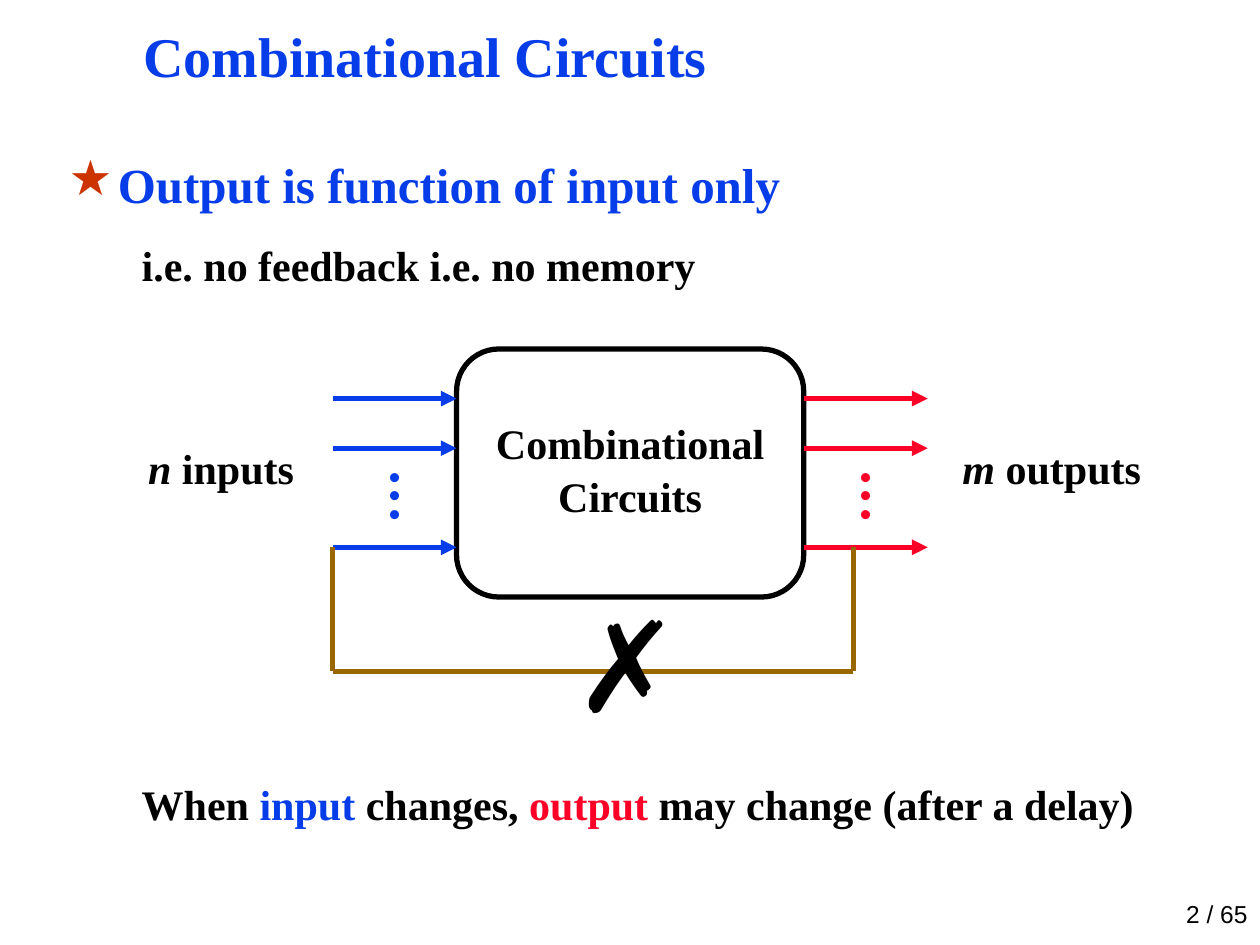
"""Build the slide on combinational circuits: output depends on input only."""
from lxml.etree import SubElement
from pptx import Presentation
from pptx.dml.color import RGBColor
from pptx.enum.shapes import MSO_CONNECTOR, MSO_SHAPE
from pptx.enum.text import MSO_ANCHOR, PP_ALIGN
from pptx.oxml.ns import qn
from pptx.util import Inches, Pt

COLORS = {"blue": "063DE8", "red": "FC0128", "black": "000000",
          "brown": "996600", "star": "CC3300"}
CELL = Inches(9.84) / 50
LEFT, TOP = Inches(2.64), Inches(2.77)
SERIF = {"name": "Times New Roman", "bold": True}
HEADING = {**SERIF, "size": Pt(32)}
POINT = {**SERIF, "size": Pt(28)}
BODY = {**SERIF, "size": Pt(24)}
DOT = {"name": "Arial", "bold": True, "size": Pt(18)}
CROSS = {**DOT, "size": Pt(72)}
NUMBER = {"name": "Arial", "size": Pt(14)}
CENTER = {"alignment": PP_ALIGN.CENTER, "line_spacing": 0.9}

presentation = Presentation()
presentation.slide_width, presentation.slide_height = Inches(10), Inches(7.5)
slide = presentation.slides.add_slide(presentation.slide_layouts[6])


def add_text(column, row, columns, rows, paragraphs, inset=(0, 0), anchor=MSO_ANCHOR.TOP):
    box = slide.shapes.add_textbox(round(LEFT + column * CELL), round(TOP + row * CELL),
                                   round(columns * CELL), round(rows * CELL))
    frame = box.text_frame
    frame.word_wrap = True
    frame.vertical_anchor = anchor
    frame.margin_left = frame.margin_right = Inches(inset[0])
    frame.margin_top = frame.margin_bottom = Inches(inset[1])
    for index, (layout, font, runs) in enumerate(paragraphs):
        paragraph = frame.paragraphs[0] if index == 0 else frame.add_paragraph()
        for key, value in layout.items():
            setattr(paragraph, key, value)
        for words, color, *italic in runs:
            run = paragraph.add_run()
            run.text = words
            run.font.color.rgb = RGBColor.from_string(COLORS[color])
            for key, value in font.items():
                setattr(run.font, key, value)
            run.font.italic = bool(italic)
    return frame


def add_line(start, end, color, arrow=False):
    points = [round(origin + step * CELL) for point in (start, end)
              for origin, step in zip((LEFT, TOP), point)]
    line = slide.shapes.add_connector(MSO_CONNECTOR.STRAIGHT, *points)
    line.line.width = Pt(3)
    line.line.color.rgb = RGBColor.from_string(COLORS[color])
    if arrow:
        SubElement(line.line._get_or_add_ln(), qn("a:tailEnd"), type="triangle")
    SubElement(line._element.spPr, qn("a:effectLst"))


add_text(30.75, 22, 6.65, 1.6,
         [({"alignment": PP_ALIGN.RIGHT}, NUMBER, [("2 / 65", "black")])],
         (0.1, 0.05), MSO_ANCHOR.BOTTOM)
add_text(-8, -13, 44, 2.65,
         [({"line_spacing": 0.87}, HEADING, [("Combinational Circuits", "blue")])], (0.07, 0.03))

statements = add_text(-11, -8, 46, 27.4, [
    ({}, POINT, [("Output is function of input only", "blue")]),
    ({"level": 1, "space_before": Pt(15)}, BODY,
     [("i.e. no feedback i.e. no memory", "black")]),
    ({"level": 1, "space_before": Pt(279)}, BODY,
     [("When ", "black"), ("input", "blue"), (" changes, ", "black"),
      ("output", "red"), (" may change (after a delay)", "black")]),
], (0.07, 0.03))
for statement, margin, hang in zip(statements.paragraphs, (0.39, 0.88, 0.88), (0.39, 0.3, 0.3)):
    properties = statement._p.get_or_add_pPr()
    properties.set("marL", str(Inches(margin)))
    properties.set("indent", str(-Inches(hang)))
    if statement.level == 0:
        SubElement(SubElement(properties, qn("a:buClr")), qn("a:srgbClr"), val=COLORS["star"])
        SubElement(properties, qn("a:buChar"), char="★")
    else:
        SubElement(properties, qn("a:buNone"))

circuit = slide.shapes.add_shape(MSO_SHAPE.ROUNDED_RECTANGLE, round(LEFT + 5 * CELL), TOP,
                                 round(14 * CELL), round(10 * CELL))
circuit.adjustments[0] = 0.17
circuit.shadow.inherit = False
circuit.fill.background()
circuit.line.width = Pt(3)
circuit.line.color.rgb = RGBColor.from_string(COLORS["black"])

for side, color in ((0, "blue"), (19, "red")):
    for row in (2, 4, 8):
        add_line((side, row), (side + 5, row), color, arrow=True)
    add_text(side + 2, 5, 1, 2.3,
             [({**CENTER, "line_spacing": 0.5}, DOT, [("•", color)])] * 3)

for column, columns, symbol, ports in ((-8, 7, "n", " inputs"), (25, 8, "m", " outputs")):
    add_text(column, 4, columns, 1.8,
             [(CENTER, BODY, [(symbol, "black", "italic"), (ports, "black")])])

add_text(6, 3, 12, 4, [
    (CENTER, BODY, [("Combinational", "black")]),
    ({**CENTER, "space_before": Pt(4.5)}, BODY, [("Circuits", "black")]),
])

feedback = ((21, 8), (21, 13), (0, 13), (0, 8))
for start, end in zip(feedback, feedback[1:]):
    add_line(start, end, "brown")
add_text(9.4, 10.25, 5, 5.5, [(CENTER, CROSS, [("✗", "black")])])

presentation.save("out.pptx")
